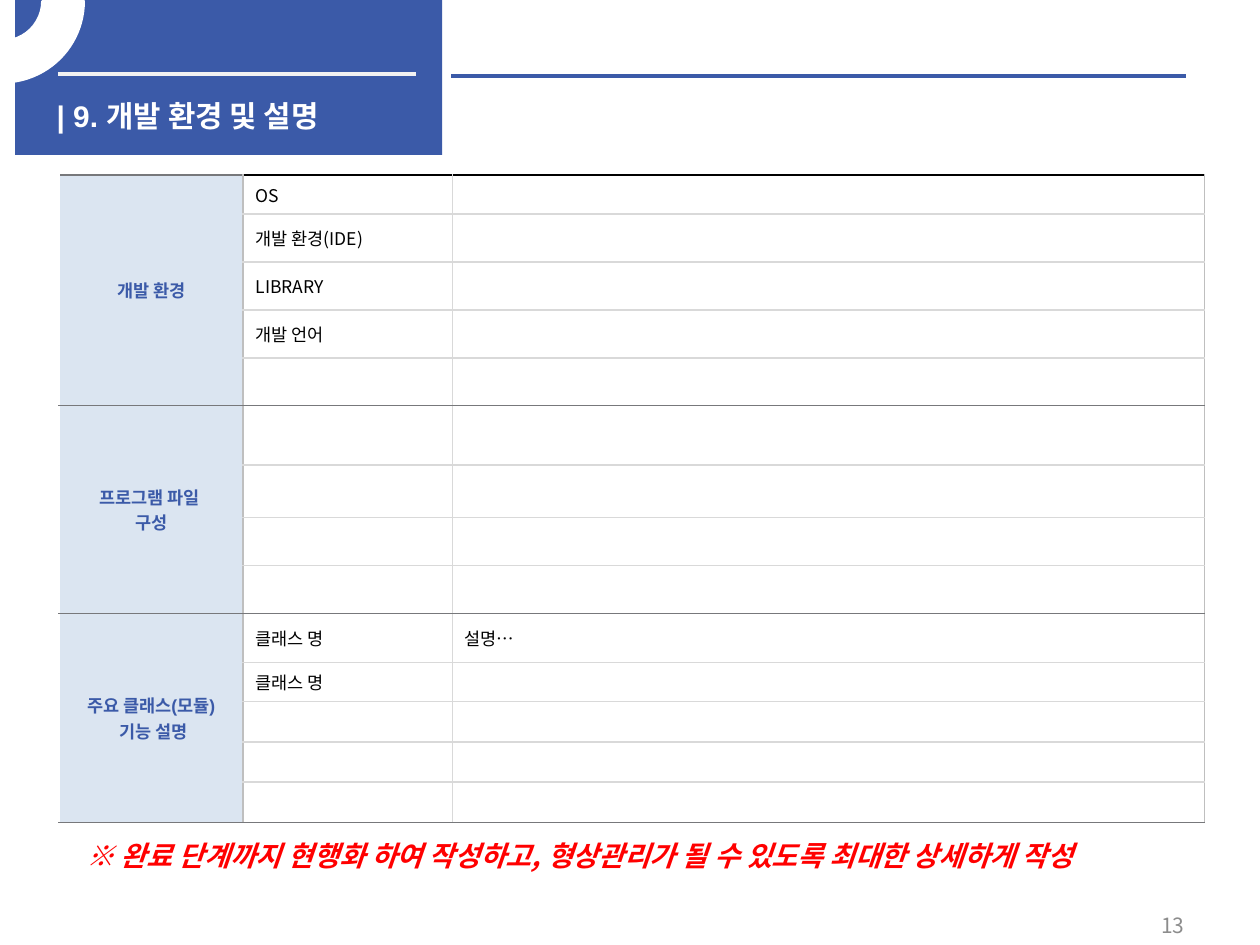
import pptx
import pptx.util
import pptx.dml.color
import pptx.enum.shapes
import pptx.enum.text
import pptx.oxml.ns
from lxml import etree

Inches = pptx.util.Inches
Pt = pptx.util.Pt
RGB = pptx.dml.color.RGBColor
Shape = pptx.enum.shapes.MSO_SHAPE
Align = pptx.enum.text.PP_ALIGN
Anchor = pptx.enum.text.MSO_ANCHOR
qn = pptx.oxml.ns.qn

BLUE = RGB(0x3B, 0x5A, 0xA8)
PALE = RGB(0xB9, 0xCD, 0xE5)
WHITE = RGB(0xFF, 0xFF, 0xFF)
SNOW = RGB(0xF2, 0xF2, 0xF2)
BLACK = RGB(0, 0, 0)
RED = RGB(0xFF, 0, 0)
GRAY = RGB(0x8C, 0x8C, 0x8C)
DARK = RGB(0x77, 0x78, 0x7B)
MID = RGB(0xBF, 0xBF, 0xBF)
LIGHT = RGB(0xD9, 0xD9, 0xD9)

SANS = "Noto Sans CJK KR"
HEAD = "Arial"

COLS = [1.46, 1.66, 5.97]
ROWS = [0.31] + [0.38] * 4 + [0.47, 0.42, 0.38, 0.38] + [0.39, 0.31] + [0.32] * 3
# Each group: heading, then one (name, text) pair per row
GROUPS = [
    ("개발 환경",
     [("OS", ""), ("개발 환경(IDE)", ""), ("LIBRARY", ""), ("개발 언어", ""), ("", "")]),
    ("프로그램 파일 \n구성", [("", "")] * 4),
    ("주요 클래스(모듈)\n 기능 설명",
     [("클래스 명", "설명…"), ("클래스 명", "")] + [("", "")] * 3),
]
SIDES = [(WHITE, MID), (MID, LIGHT), (LIGHT, MID)]


class Deck:
    def __init__(self):
        self.prs = pptx.Presentation()
        self.prs.slide_width = Inches(10)
        self.prs.slide_height = Inches(7.5)
        self.slide = self.prs.slides.add_slide(self.prs.slide_layouts[5])
        self.shapes = self.slide.shapes

    def style(self, frame, size, color, font=SANS, bold=False, slant=False, align=Align.LEFT):
        for para in frame.paragraphs:
            para.alignment = align
            for run in para.runs:
                face = run.font
                face.size, face.bold, face.italic = Pt(size), bold, slant
                face.color.rgb, face.name = color, font
                etree.SubElement(run._r.rPr, qn("a:ea"), typeface=SANS)
            if not para.runs:
                etree.SubElement(para._p, qn("a:endParaRPr"), sz=str(size * 100))

    def title(self, text, x, y, w, h):
        box = self.shapes.title
        self.shapes._spTree.append(box._element)  # bring in front of the banner
        box.left, box.top, box.width, box.height = map(Inches, (x, y, w, h))
        box.text_frame.text = text
        box.text_frame.vertical_anchor = Anchor.MIDDLE
        self.style(box.text_frame, 17, WHITE, HEAD, bold=True)

    def text(self, text, x, y, w, h, size, color, hang=0, anchor=Anchor.TOP, **look):
        frame = self.shapes.add_textbox(*map(Inches, (x, y, w, h))).text_frame
        frame.word_wrap = True
        frame.vertical_anchor = anchor
        frame.text = text
        self.style(frame, size, color, **look)
        if hang:
            props = frame.paragraphs[0]._p.get_or_add_pPr()
            props.set("marL", str(Inches(hang)))
            props.set("indent", str(-Inches(hang)))

    def shape(self, kind, x, y, w, h, fill, line=None):
        item = self.shapes.add_shape(kind, *map(Inches, (x, y, w, h)))
        item.shadow.inherit = False
        item.fill.solid()
        item.fill.fore_color.rgb = fill
        if line:
            item.line.color.rgb = fill
            item.line.width = Pt(line)
        else:
            item.line.fill.background()
        return item

    def rule(self, x1, x2, y, color):
        line = self.shapes.add_connector(
            pptx.enum.shapes.MSO_CONNECTOR.STRAIGHT, *map(Inches, (x1, y, x2, y)))
        line.line.color.rgb = color
        line.line.width = Pt(2.25)
        etree.SubElement(line._element.spPr, qn("a:effectLst"))

    def edges(self, cell, left, right, top, bottom):
        props = cell._tc.get_or_add_tcPr()
        for spot, (side, color) in enumerate(zip("LRTB", (left, right, top, bottom))):
            line = etree.Element(qn("a:ln" + side), w=str(Pt(1)))
            fill = etree.SubElement(line, qn("a:solidFill"))
            etree.SubElement(fill, qn("a:srgbClr"), val=str(color))
            props.insert(spot, line)

    def cell(self, cell, text, head):
        cell.text = text
        cell.vertical_anchor = Anchor.MIDDLE
        if head:
            cell.fill.solid()
            cell.fill.fore_color.rgb = PALE
            tint = cell._tc.tcPr.find(".//" + qn("a:srgbClr"))
            etree.SubElement(tint, qn("a:alpha"), val="50000")
            self.style(cell.text_frame, 10, BLUE, HEAD, bold=True, align=Align.CENTER)
        else:
            cell.fill.background()
            self.style(cell.text_frame, 10, BLACK)

    def table(self, x, y):
        frame = self.shapes.add_table(
            len(ROWS), len(COLS), *map(Inches, (x, y, sum(COLS), sum(ROWS))))
        grid = frame.table
        grid.first_row = grid.horz_banding = False
        for col, width in zip(grid.columns, COLS):
            col.width = Inches(width)
        for row, height in zip(grid.rows, ROWS):
            row.height = Inches(height)
        start = 0
        for head, pairs in GROUPS:
            last = len(pairs) - 1
            for i, pair in enumerate(pairs):
                for j, text in enumerate((head if i == 0 else "", *pair)):
                    cell = grid.cell(start + i, j)
                    self.cell(cell, text, j == 0)
                    top = DARK if i == 0 or j == 0 else LIGHT
                    if start + i == 0 and j:
                        top = BLACK
                    low = DARK if i == last or j == 0 else LIGHT
                    self.edges(cell, *SIDES[j], top, low)
            grid.cell(start, 0).merge(grid.cell(start + last, 0))
            start += len(pairs)


def main():
    deck = Deck()
    deck.table(0.47, 1.39)
    deck.shape(Shape.RECTANGLE, 0.12, 0, 3.39, 1.23, BLUE)
    deck.rule(0.46, 3.3, 0.59, SNOW)
    deck.rule(3.58, 9.41, 0.6, BLUE)
    deck.title("| 9. 개발 환경 및 설명", 0.35, 0.76, 3.07, 0.32)
    arc = deck.shape(Shape.BLOCK_ARC, -0.63, -0.63, 1.29, 1.28, WHITE, line=2)
    # Angles count in 60000ths of a degree, adjustments in 100000ths
    arc.adjustments[0] = 161.59 * 0.6
    arc.adjustments[1] = 0
    arc.adjustments[2] = 0.25
    arc._element.spPr.xfrm.set("flipV", "1")
    deck.text("※ 완료 단계까지 현행화 하여 작성하고, 형상관리가 될 수 있도록 최대한 상세하게 작성",
              0.59, 6.61, 8.99, 0.37, 16, RED, hang=0.29, bold=True, slant=True)
    deck.text("13", 7.17, 7.24, 2.33, 0.21, 12, GRAY,
              anchor=Anchor.MIDDLE, align=Align.RIGHT)
    deck.prs.save("out.pptx")


if __name__ == "__main__":
    main()
